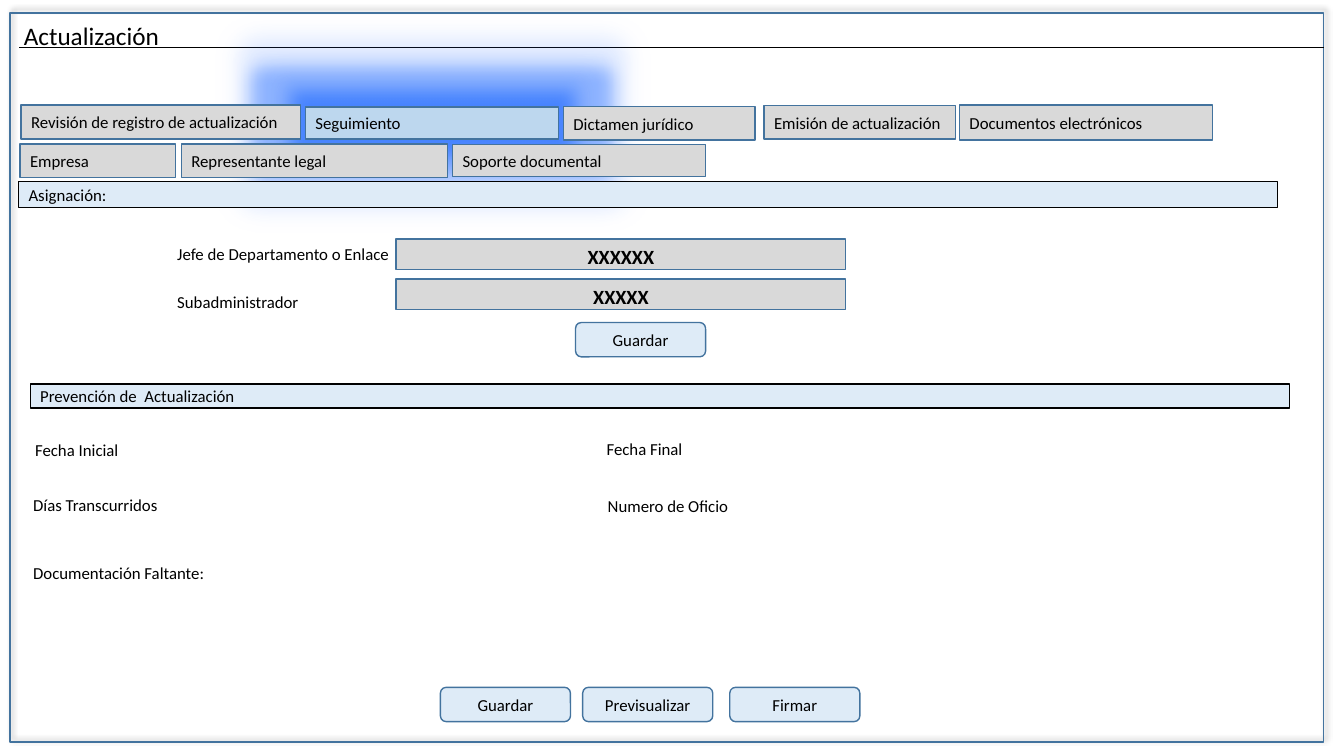
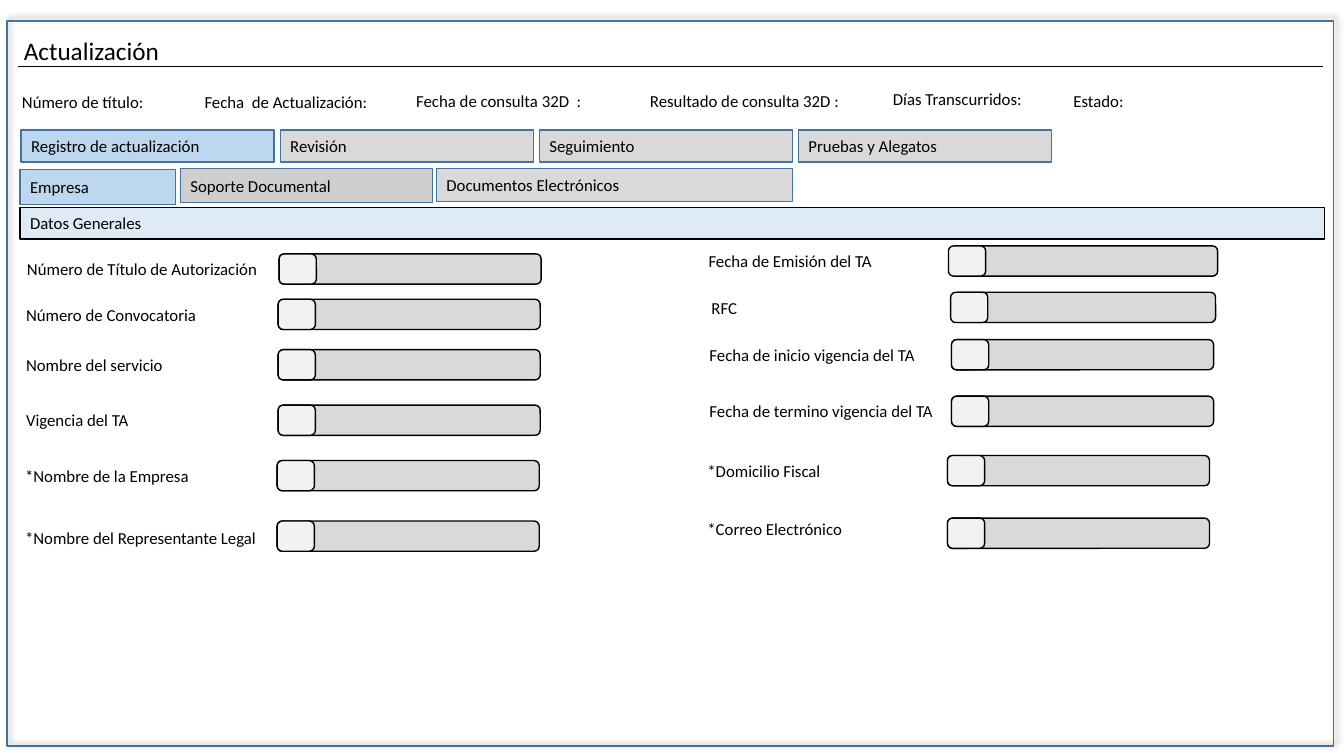
import dataclasses
import typing

import lxml.etree
import pptx
import pptx.dml.color
import pptx.enum.shapes
import pptx.enum.text
import pptx.oxml.ns
import pptx.util

Color = pptx.dml.color.RGBColor
Pt = pptx.util.Pt
Preset = pptx.enum.shapes.MSO_SHAPE
Align = pptx.enum.text.PP_ALIGN

BLACK = Color(0x00, 0x00, 0x00)
OUTLINE_BLUE = Color(0x43, 0x73, 0x9E)
PALE_BLUE = Color(0xDE, 0xEB, 0xF7)
ACTIVE_BLUE = Color(0xBD, 0xD7, 0xEE)
GLOW_BLUE = Color(0x2F, 0x74, 0xFF)
GRAY = Color(0xD9, 0xD9, 0xD9)
WARM_GRAY = Color(0xD0, 0xCE, 0xCE)
LIGHT_GRAY = Color(0xF2, 0xF2, 0xF2)

FONT = "Calibri"
BODY_SIZE = 12
TITLE_SIZE = 18
LABEL_HEIGHT = 21.6
INPUT_WIDTH = 187.2
TOGGLE_WIDTH = 26.6
TAB_WIDTH = 180.7
TAB_PITCH = 185.1


@dataclasses.dataclass(frozen=True)
class Box:
    left: float
    top: float
    width: float
    height: float


@dataclasses.dataclass(frozen=True)
class Label:
    text: str
    left: float
    top: float
    width: float = 258.5


@dataclasses.dataclass(frozen=True)
class Tab:
    text: str
    box: Box
    fill: Color = GRAY
    glows: bool = False


@dataclasses.dataclass(frozen=True)
class InputRow:
    label: Label
    toggle_left: float
    bar_left: float
    top: float


REVIEW_TABS = [
    Tab("Empresa", Box(14.4, 103, 110.9, 23.8)),
    Tab("Seguimiento", Box(218.2, 76.3, TAB_WIDTH, 23), ACTIVE_BLUE, True),
    Tab("Revisión de registro de actualización", Box(15.1, 74.9, 199.4, 24.5)),
    Tab("Soporte documental", Box(323.3, 103, TAB_WIDTH, 23)),
    Tab("Representante legal", Box(129.6, 103, 190.1, 23.8)),
    Tab("Dictamen jurídico", Box(402.5, 76.3, 136.8, 23.8)),
    Tab("Emisión de actualización", Box(545.8, 75.6, 136.8, 23.8)),
    Tab("Documentos electrónicos", Box(685.4, 74.9, TAB_WIDTH, 25.2)),
]

REVIEW_LABELS = [
    Label("Jefe de Departamento o Enlace", 119.5, 170.6),
    Label("Subadministrador", 119.5, 205.2),
    Label("Fecha Inicial", 18, 310.3),
    Label("Fecha Final", 426.2, 309.6),
    Label("Días Transcurridos", 16.6, 349.9),
    Label("Numero de Oficio", 427, 350.6),
    Label("Documentación Faltante:", 16.6, 398.2),
]

REVIEW_BUTTONS = [
    ("Guardar", 411.1, 230.4),
    ("Guardar", 314.6, 491),
    ("Previsualizar", 416.2, 491),
    ("Firmar", 521.3, 491),
]

RECORD_TABS = [
    Tab(text, Box(15.1 + TAB_PITCH * index, 92.9, TAB_WIDTH, 23), fill)
    for index, (text, fill) in enumerate([
        ("Registro de actualización", ACTIVE_BLUE),
        ("Revisión", GRAY),
        ("Seguimiento", GRAY),
        ("Pruebas y Alegatos", GRAY),
    ])
] + [
    Tab("Empresa", Box(14.4, 121, 110.9, 25.2), ACTIVE_BLUE),
    Tab("Soporte Documental", Box(128.9, 120.2, 180, 24.5), WARM_GRAY),
    Tab("Documentos Electrónicos", Box(311.8, 120.2, 254.2, 23.8)),
]

RECORD_LABELS = [
    Label("Número de título:", 8.6, 61.9, 121.7),
    Label("Fecha  de Actualización:", 139, 62.3, 152.6),
    Label("Fecha de consulta 32D  :", 290.2, 61.4, 152.6),
    Label("Resultado de consulta 32D :", 457.2, 61.4, 152.6),
    Label("Días Transcurridos:", 630.7, 60, 152.6),
    Label("Estado:", 759.6, 61.4, 152.6),
]

RECORD_INPUTS = [
    InputRow(Label("Número de Título de Autorización", 12.2, 181.4), 199.4, 199.4, 181.4),
    InputRow(Label("Número de Convocatoria", 11.5, 213.8), 198.7, 198.7, 213.8),
    InputRow(Label("Nombre del servicio", 11.5, 249.8), 198.7, 198.7, 249.8),
    InputRow(Label("Vigencia del TA", 11.5, 289.4), 198.7, 198.7, 289.4),
    InputRow(Label("*Nombre de la Empresa", 10.8, 329), 198, 198, 329),
    InputRow(Label("*Nombre del Representante Legal", 10.8, 373.7), 198, 198, 372.2),
    InputRow(Label("Fecha de Emisión del TA", 499, 175.7), 677.5, 682.6, 175.7),
    InputRow(Label("RFC", 501.1, 208.8), 679, 681.1, 208.8),
    InputRow(Label("Fecha de inicio vigencia del TA", 499.7, 242.6), 679.7, 679.7, 242.6),
    InputRow(Label("Fecha de termino vigencia del TA", 499.7, 283), 679.7, 679.7, 283),
    InputRow(Label("*Domicilio Fiscal", 498.2, 325.4), 676.8, 676.8, 325.4),
    InputRow(Label("*Correo Electrónico", 498.2, 367.2), 676.8, 676.8, 370.1),
]


def points(*lengths: float) -> list[int]:
    return [Pt(length) for length in lengths]


def effect_list(shape: typing.Any) -> typing.Any:
    qualified = pptx.oxml.ns.qn("a:effectLst")
    properties = shape._element.spPr
    effects = properties.find(qualified)
    if effects is None:
        effects = lxml.etree.SubElement(properties, qualified)
    return effects


def add_effect(shape: typing.Any, name: str, color: Color, alpha: int, **lengths: int) -> None:
    qn = pptx.oxml.ns.qn
    effect = lxml.etree.SubElement(effect_list(shape), qn(f"a:{name}"))
    for key, value in lengths.items():
        effect.set(key, str(value))
    color_element = lxml.etree.SubElement(effect, qn("a:srgbClr"), val=str(color))
    lxml.etree.SubElement(color_element, qn("a:alpha"), val=str(alpha * 1000))


def write_text(
    shape: typing.Any, text: str, size: float = BODY_SIZE, align: Align = Align.LEFT
) -> typing.Any:
    frame = shape.text_frame
    frame.text = text
    frame.word_wrap = True
    paragraph = frame.paragraphs[0]
    paragraph.alignment = align
    run = paragraph.runs[0]
    run.font.name = FONT
    run.font.size = Pt(size)
    run.font.color.rgb = BLACK
    return run


def add_box(
    slide: typing.Any,
    box: Box,
    fill: Color | None,
    line: Color = OUTLINE_BLUE,
    preset: Preset = Preset.RECTANGLE,
) -> typing.Any:
    shape = slide.shapes.add_shape(preset, *points(box.left, box.top, box.width, box.height))
    shape.shadow.inherit = False
    if fill is None:
        shape.fill.background()
    else:
        shape.fill.solid()
        shape.fill.fore_color.rgb = fill
    shape.line.color.rgb = line
    shape.line.width = Pt(1)
    return shape


def add_label(slide: typing.Any, label: Label, size: float = BODY_SIZE) -> None:
    textbox = slide.shapes.add_textbox(*points(label.left, label.top, label.width, LABEL_HEIGHT))
    write_text(textbox, label.text, size)
    textbox.text_frame.auto_size = pptx.enum.text.MSO_AUTO_SIZE.SHAPE_TO_FIT_TEXT


def add_window(
    presentation: typing.Any, frame: Box, title_top: float, rule_left: float, rule_top: float
) -> typing.Any:
    slide = presentation.slides.add_slide(presentation.slide_layouts[6])
    window = add_box(slide, frame, None)
    add_effect(window, "outerShdw", BLACK, 40, blurRad=Pt(4), dist=Pt(3), dir=315 * 60000)
    add_label(slide, Label("Actualización", 10, title_top, 368), TITLE_SIZE)
    rule = slide.shapes.add_connector(
        pptx.enum.shapes.MSO_CONNECTOR.STRAIGHT,
        *points(rule_left, rule_top, rule_left + 931.7, rule_top),
    )
    rule.line.color.rgb = BLACK
    rule.line.width = Pt(0.5)
    effect_list(rule)
    return slide


def add_band(slide: typing.Any, text: str, box: Box) -> None:
    write_text(add_box(slide, box, PALE_BLUE, BLACK), text)


def add_tab(slide: typing.Any, tab: Tab) -> None:
    shape = add_box(slide, tab.box, tab.fill)
    write_text(shape, tab.text)
    if tab.glows:
        add_effect(shape, "glow", GLOW_BLUE, 45, rad=Pt(26))
        add_effect(shape, "outerShdw", GLOW_BLUE, 60, blurRad=Pt(10), dist=0, dir=0,
                   sx=107000, sy=170000, algn="ctr")


def add_button(slide: typing.Any, text: str, left: float, top: float) -> None:
    box = Box(left, top, 92.9, 24.5)
    shape = add_box(slide, box, PALE_BLUE, preset=Preset.ROUNDED_RECTANGLE)
    write_text(shape, text, align=Align.CENTER)


def add_assignee(slide: typing.Any, text: str, top: float) -> None:
    shape = add_box(slide, Box(283, top, 321.1, 21.6), GRAY)
    run = write_text(shape, text, TITLE_SIZE, Align.CENTER)
    run.font.bold = True
    run.font._element.set("cap", "small")


def add_input(slide: typing.Any, row: InputRow) -> None:
    for left, width, fill in (
        (row.bar_left, INPUT_WIDTH, GRAY),
        (row.toggle_left, TOGGLE_WIDTH, LIGHT_GRAY),
    ):
        box = Box(left, row.top, width, LABEL_HEIGHT)
        add_box(slide, box, fill, BLACK, Preset.ROUNDED_RECTANGLE)
    add_label(slide, row.label)


def build_review(presentation: typing.Any) -> None:
    slide = add_window(presentation, Box(7.2, 9.4, 938.2, 520.6), 10.8, 13.7, 33.8)
    for tab in REVIEW_TABS:
        add_tab(slide, tab)
    add_band(slide, "Asignación:", Box(13.3, 129.6, 899.3, 18.7))
    add_band(slide, "Prevención de  Actualización", Box(21.6, 274.3, 899.3, 17.3))
    for label in REVIEW_LABELS:
        add_label(slide, label)
    add_assignee(slide, "xxxxxx", 170.8)
    add_assignee(slide, "xxxxx", 199.4)
    for text, left, top in REVIEW_BUTTONS:
        add_button(slide, text, left, top)


def build_record(presentation: typing.Any) -> None:
    slide = add_window(presentation, Box(5, 15.1, 947.5, 517.7), 21.6, 13, 47.5)
    for label in RECORD_LABELS:
        add_label(slide, label)
    for tab in RECORD_TABS:
        add_tab(slide, tab)
    add_band(slide, "Datos Generales", Box(14.4, 148.3, 931.7, 22.3))
    for row in RECORD_INPUTS:
        add_input(slide, row)


def main() -> None:
    presentation = pptx.Presentation()
    presentation.slide_width = Pt(960)
    presentation.slide_height = Pt(540)
    build_review(presentation)
    build_record(presentation)
    presentation.save("out.pptx")


if __name__ == "__main__":
    main()
